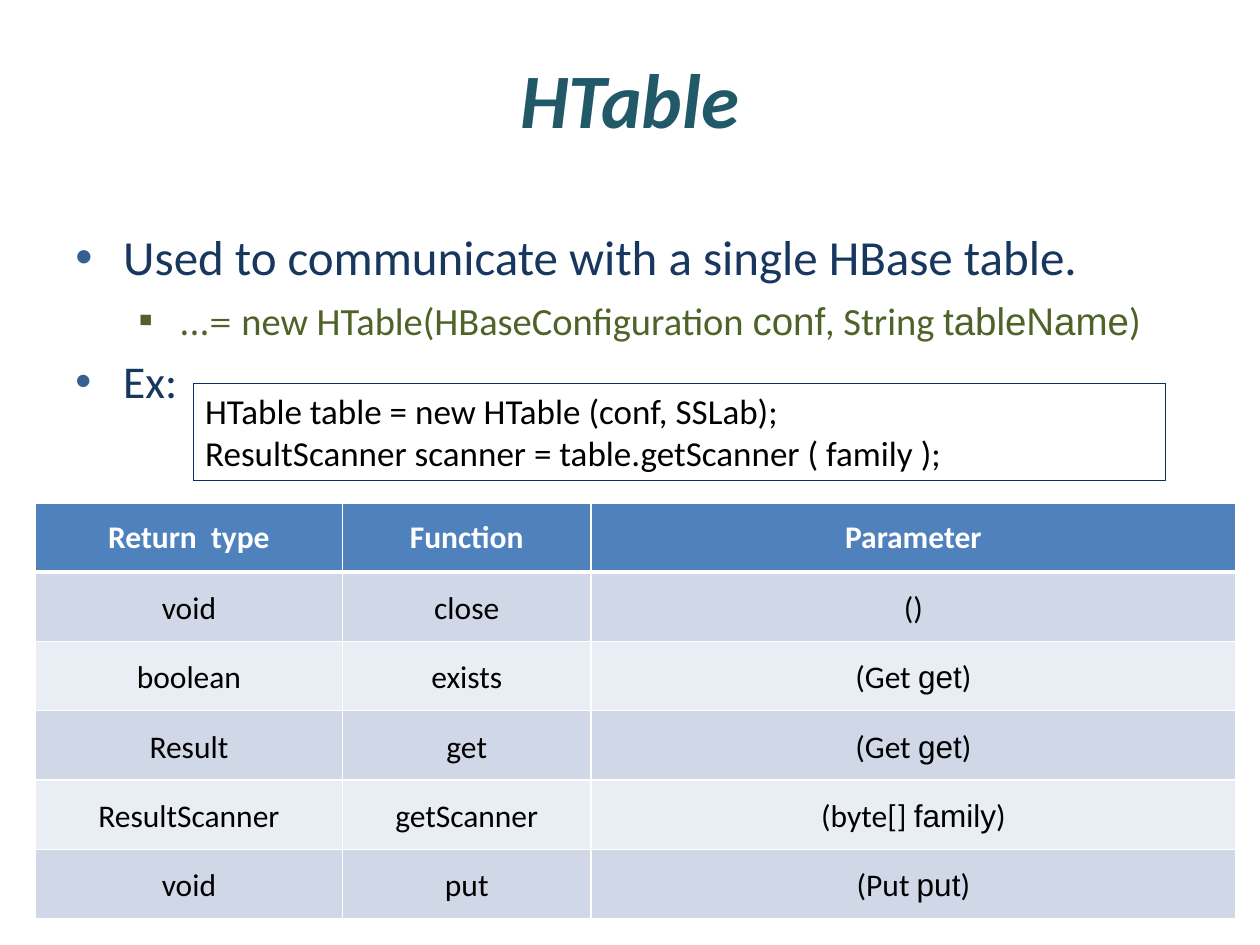
"""Build the HTable slide: a title, bullets, a code sample and a method table."""
from lxml.etree import SubElement
from pptx import Presentation
from pptx.dml.color import RGBColor
from pptx.enum.dml import MSO_LINE
from pptx.enum.shapes import MSO_SHAPE
from pptx.enum.text import MSO_ANCHOR, MSO_AUTO_SIZE, PP_ALIGN
from pptx.oxml.ns import qn
from pptx.util import Inches, Pt

COLORS = {
    "title": "215968", "bullet": "376092", "point": "17375E", "detail": "4F6228",
    "outline": "003366", "black": "000000", "white": "FFFFFF",
    "header": "4F81BD", "odd": "D0D8E8", "even": "E9EDF4",
}
TITLE = "HTable"
LEVELS = [
    {"indent": 0.38, "hang": 0.38, "mark": "•", "mark_color": "bullet", "color": "point"},
    {"indent": 0.81, "hang": 0.31, "mark": "▪", "mark_color": "detail", "color": "detail"},
]
BULLETS = [
    (0, 0, [("Used to communicate with a single HBase table.", 28, "Calibri")]),
    (1, 4.8, [
        ("…= ", 24, "Cambria"),
        ("new HTable(HBaseConfiguration ", 22, "Calibri"),
        ("conf", 22, "Arial"),
        (", String ", 22, "Calibri"),
        ("tableName", 22, "Arial"),
        (")", 22, "Calibri"),
    ]),
    (0, 5.2, [("Ex:", 26, "Calibri")]),
]
CODE = [
    "HTable table = new HTable (conf, SSLab);",
    "ResultScanner scanner = table.getScanner ( family );",
]
COLUMNS = [2.44, 1.97, 5.12]
ROW_HEIGHT = 0.55
HEADER = ["Return  type", "Function", "Parameter"]
METHODS = [
    ("void", "close", ("()",)),
    ("boolean", "exists", ("(Get ", "get", ")")),
    ("Result", "get", ("(Get ", "get", ")")),
    ("ResultScanner", "getScanner", ("(byte[] ", "family", ")")),
    ("void", "put", ("(Put ", "put", ")")),
]


def rgb(name):
    return RGBColor.from_string(COLORS[name])


def add_span(paragraph, text, size, color, font="Calibri", bold=False, italic=False):
    span = paragraph.add_run()
    span.text = text
    span.font.size = Pt(size)
    span.font.name = font
    span.font.bold = bold
    span.font.italic = italic
    span.font.color.rgb = rgb(color)


def next_paragraph(frame, index):
    return frame.add_paragraph() if index else frame.paragraphs[0]


def add_text_frame(page, left, top, width, height):
    box = page.shapes.add_textbox(Inches(left), Inches(top), Inches(width), Inches(height))
    box.text_frame.word_wrap = True
    return box.text_frame


def set_bullet(paragraph, level):
    properties = paragraph._p.get_or_add_pPr()
    properties.set("marL", str(Inches(level["indent"])))
    properties.set("indent", str(-Inches(level["hang"])))
    color = SubElement(properties, qn("a:buClr"))
    SubElement(color, qn("a:srgbClr"), val=COLORS[level["mark_color"]])
    SubElement(properties, qn("a:buFont"), typeface="Arial")
    SubElement(properties, qn("a:buChar"), char=level["mark"])


def set_borders(cell, widths):
    properties = cell._tc.get_or_add_tcPr()
    for side, width in zip(("lnL", "lnR", "lnT", "lnB"), widths):
        line = SubElement(properties, qn(f"a:{side}"), w=str(Pt(width)))
        fill = SubElement(line, qn("a:solidFill"))
        SubElement(fill, qn("a:srgbClr"), val=COLORS["white"])


def add_title(page):
    frame = add_text_frame(page, 0.5, 0.3, 9, 0.95)
    frame.vertical_anchor = MSO_ANCHOR.MIDDLE
    paragraph = frame.paragraphs[0]
    paragraph.alignment = PP_ALIGN.CENTER
    add_span(paragraph, TITLE, 44, "title", bold=True, italic=True)


def add_bullets(page):
    frame = add_text_frame(page, 0.5, 1.75, 9, 4.95)
    for index, (depth, space, spans) in enumerate(BULLETS):
        paragraph = next_paragraph(frame, index)
        level = LEVELS[depth]
        paragraph.level = depth
        if space:
            paragraph.space_before = Pt(space)
        set_bullet(paragraph, level)
        for text, size, font in spans:
            add_span(paragraph, text, size, level["color"], font)


def add_code(page):
    box = page.shapes.add_shape(
        MSO_SHAPE.RECTANGLE, Inches(1.53), Inches(3.04), Inches(7.72), Inches(0.77))
    box.shadow.inherit = False
    box.fill.background()
    box.line.color.rgb = rgb("outline")
    box.line.width = Pt(0.25)
    box.line.dash_style = MSO_LINE.ROUND_DOT
    frame = box.text_frame
    frame.word_wrap = True
    frame.auto_size = MSO_AUTO_SIZE.SHAPE_TO_FIT_TEXT
    frame.vertical_anchor = MSO_ANCHOR.TOP
    for index, text in enumerate(CODE):
        paragraph = next_paragraph(frame, index)
        paragraph.alignment = PP_ALIGN.LEFT
        add_span(paragraph, text, 20, "black")


def fill_cell(cell, row, content):
    is_header = row == 0
    set_borders(cell, (1, 1, 3 if row == 1 else 1, 3 if is_header else 1))
    cell.fill.solid()
    cell.fill.fore_color.rgb = rgb("header" if is_header else "odd" if row % 2 else "even")
    cell.vertical_anchor = MSO_ANCHOR.MIDDLE
    paragraph = cell.text_frame.paragraphs[0]
    paragraph.alignment = PP_ALIGN.CENTER
    if not is_header:
        cell.margin_top = cell.margin_bottom = 0
        paragraph.line_spacing = 1.1
    spans = (content,) if isinstance(content, str) else content
    for index, text in enumerate(spans):
        add_span(paragraph, text, 18, "white" if is_header else "black",
                 "Arial" if index == 1 else "Calibri", bold=is_header)


def add_methods(page):
    rows = [HEADER, *METHODS]
    table = page.shapes.add_table(
        len(rows), len(COLUMNS), Inches(0.28), Inches(3.99),
        Inches(sum(COLUMNS)), Inches(ROW_HEIGHT * len(rows))).table
    for column, width in zip(table.columns, COLUMNS):
        column.width = Inches(width)
    for row, contents in enumerate(rows):
        table.rows[row].height = Inches(ROW_HEIGHT)
        for column, content in enumerate(contents):
            fill_cell(table.cell(row, column), row, content)


def main():
    deck = Presentation()
    deck.slide_width, deck.slide_height = Inches(10), Inches(7.5)
    page = deck.slides.add_slide(deck.slide_layouts[6])
    add_title(page)
    add_bullets(page)
    add_code(page)
    add_methods(page)
    deck.save("out.pptx")


if __name__ == "__main__":
    main()
